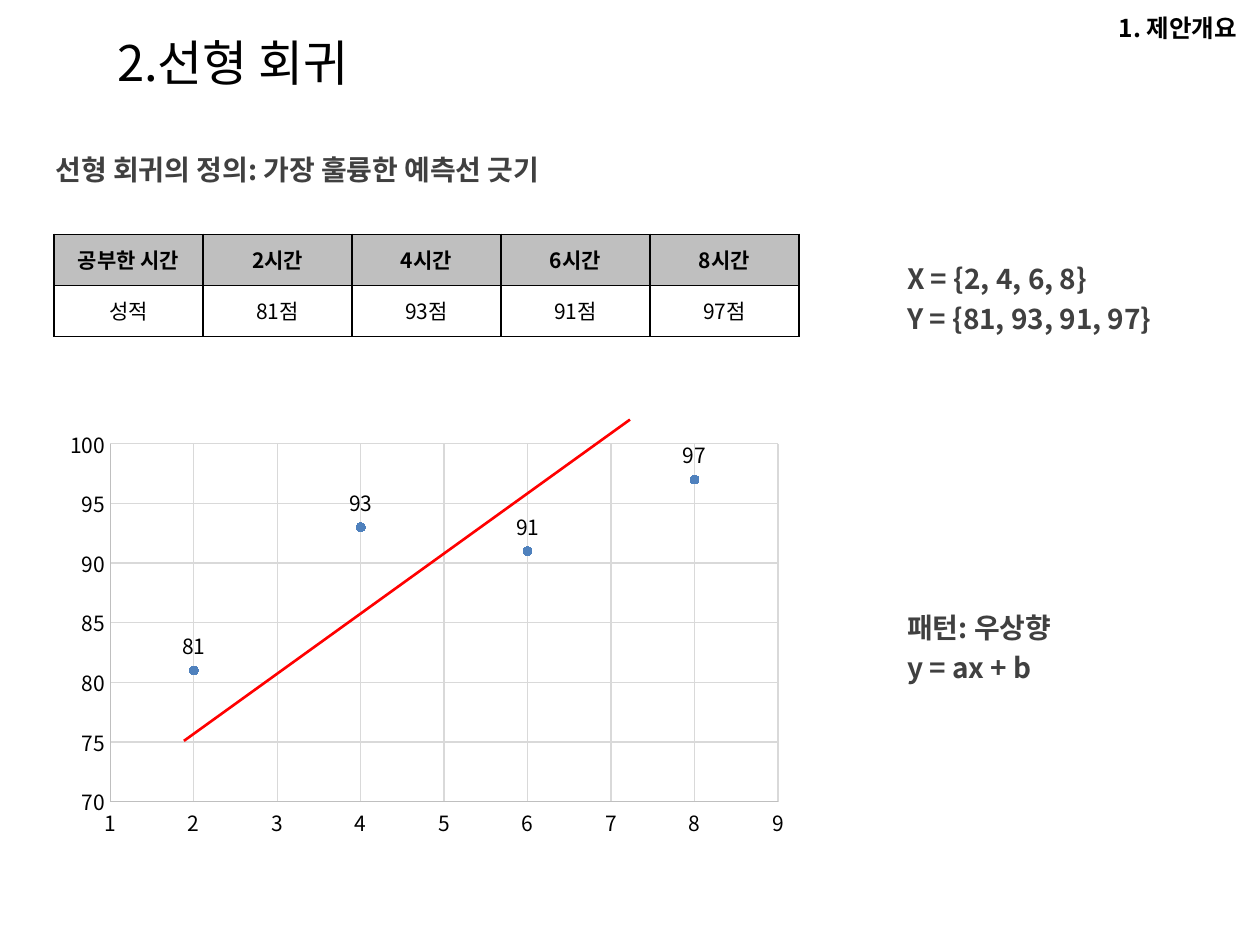
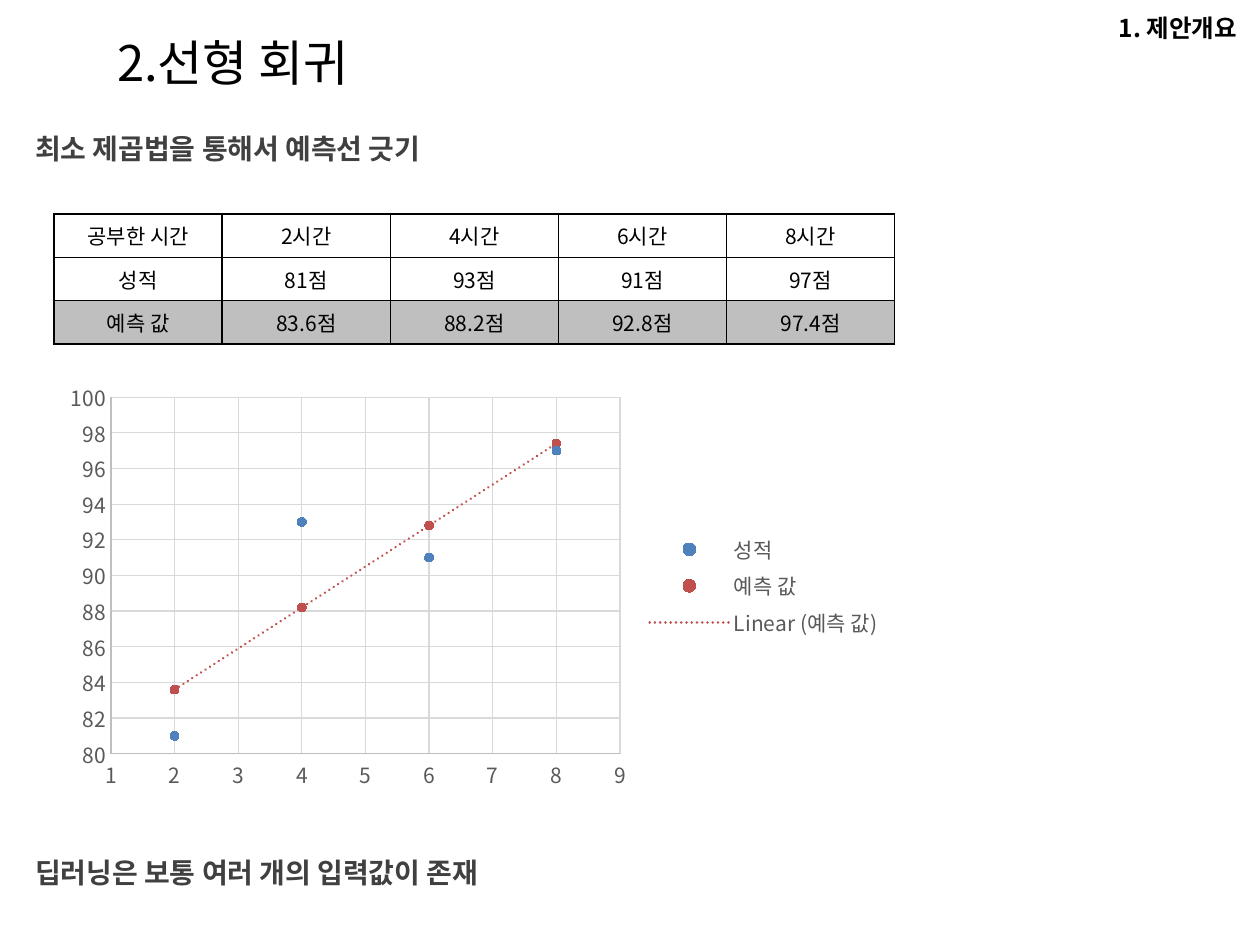
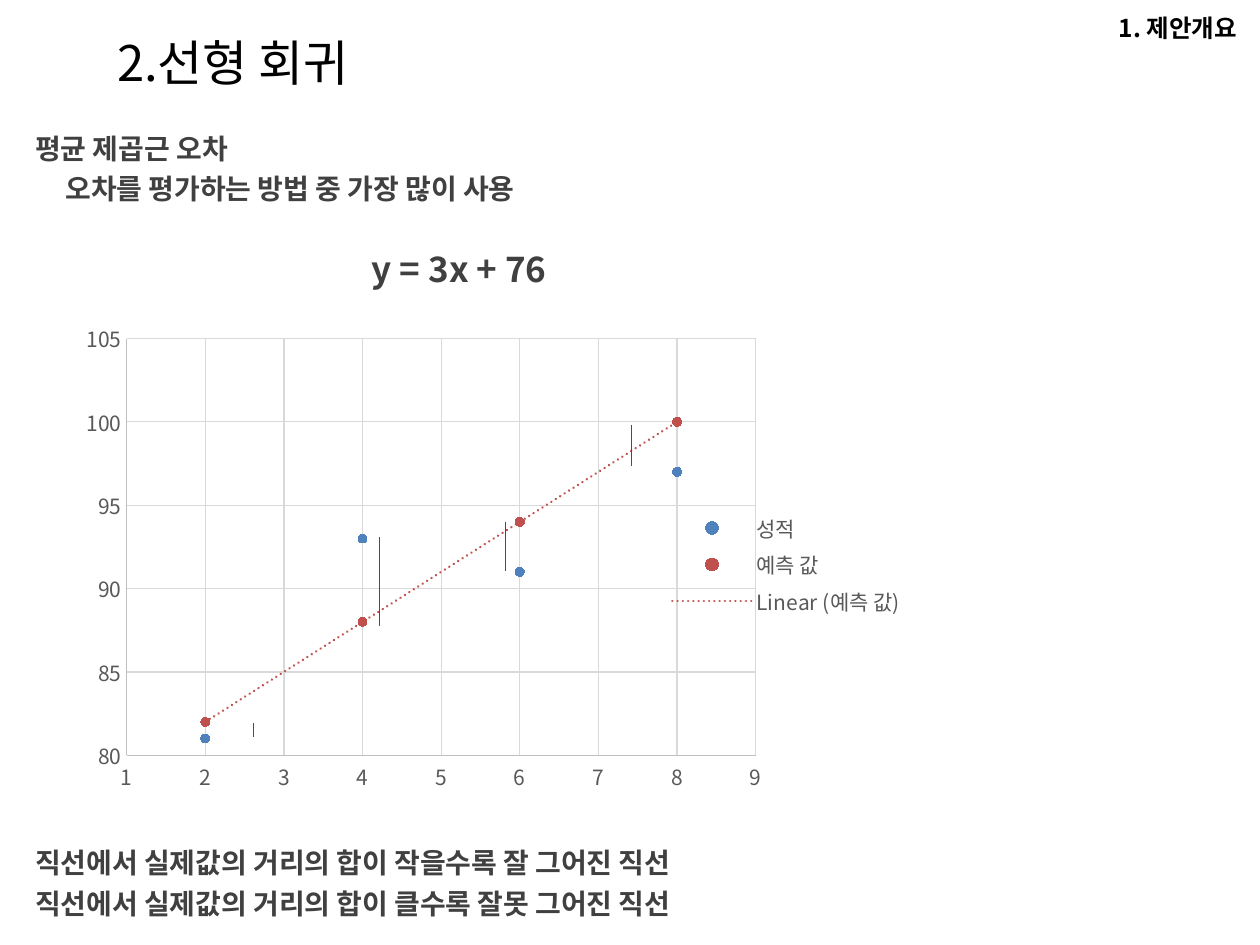
from lxml import etree
from pptx import Presentation
from pptx.chart.data import XyChartData
from pptx.chart.datalabel import DataLabels
from pptx.dml.color import RGBColor
from pptx.enum import chart as ch, shapes, text
from pptx.oxml import parse_xml
from pptx.oxml.ns import nsdecls, qn
from pptx.util import Inches, Pt

FONT = "Noto Sans CJK KR"
BLACK = RGBColor(0x00, 0x00, 0x00)
WHITE = RGBColor(0xFF, 0xFF, 0xFF)
INK = RGBColor(0x40, 0x40, 0x40)
CHART_INK = RGBColor(0x59, 0x59, 0x59)
AXIS = RGBColor(0xBF, 0xBF, 0xBF)
HIGHLIGHT = RGBColor(0xBF, 0xBF, 0xBF)
GRID = RGBColor(0xD9, 0xD9, 0xD9)
RED = RGBColor(0xFF, 0x00, 0x00)
SERIES_COLORS = (RGBColor(0x4F, 0x81, 0xBD), RGBColor(0xC0, 0x50, 0x4D))

HOURS = (2, 4, 6, 8)
SCORES = (81, 93, 91, 97)
LEAST_SQUARES = (83.6, 88.2, 92.8, 97.4)
TRIAL_LINE = (82, 88, 94, 100)
HOUR_ROW = ["공부한 시간"] + [f"{hours}시간" for hours in HOURS]
SCORE_ROW = ["성적"] + [f"{score}점" for score in SCORES]
PREDICTION_ROW = ["예측 값"] + [f"{score}점" for score in LEAST_SQUARES]


def inches(*lengths):
    return [Inches(length) for length in lengths]


def style_font(font, size, color, bold=False):
    font.name, font.size, font.bold = FONT, Pt(size), bold
    font.color.rgb = color


def add_run(paragraph, wording, size, color, bold=False):
    run = paragraph.add_run()
    run.text = wording
    style_font(run.font, size, color, bold)


def use_font_for_korean(root):
    """Repeat every Latin typeface as the East Asian one."""
    for latin in list(root.iter(qn("a:latin"))):
        east_asian = etree.Element(qn("a:ea"))
        east_asian.set("typeface", FONT)
        latin.addnext(east_asian)


def add_page(deck):
    slide = deck.slides.add_slide(deck.slide_layouts[5])
    section = slide.shapes.add_textbox(*inches(8.78, 0.05, 2.84, 0.32))
    section.text_frame.word_wrap = True
    add_run(section.text_frame.paragraphs[0], "1. 제안개요", 14, BLACK, True)

    title = slide.shapes.title
    title.left, title.top, title.width, title.height = inches(0.83, 0.21, 7.48, 0.57)
    frame = title.text_frame
    frame.auto_size = text.MSO_AUTO_SIZE.NONE
    frame.vertical_anchor = text.MSO_ANCHOR.TOP
    heading = frame.paragraphs[0]
    heading.alignment = text.PP_ALIGN.LEFT
    add_run(heading, "2.선형 회귀", 28, BLACK)
    return slide


def add_statement(slide, box, lines, size=16, indents=()):
    """Bold lines; indents holds the numbers of the lines set in."""
    frame = slide.shapes.add_textbox(*inches(*box)).text_frame
    frame.word_wrap = True
    frame.margin_left = frame.margin_right = frame.margin_top = frame.margin_bottom = 0
    for number, line in enumerate(lines):
        paragraph = frame.paragraphs[0] if number == 0 else frame.add_paragraph()
        paragraph.line_spacing = 1.2
        if number in indents:
            paragraph._p.get_or_add_pPr().set("marL", str(Inches(0.24)))
        add_run(paragraph, line, size, INK, True)


def border_cell(cell):
    properties = cell._tc.get_or_add_tcPr()
    for position, side in enumerate(("lnL", "lnR", "lnT", "lnB")):
        properties.insert(position, parse_xml(
            f'<a:{side} {nsdecls("a")} w="{Pt(1)}"><a:solidFill>'
            f'<a:srgbClr val="{BLACK}"/></a:solidFill></a:{side}>'))


def add_score_table(slide, box, rows, highlighted, bold=False):
    table = slide.shapes.add_table(len(rows), len(rows[0]), *inches(*box)).table
    table.first_row = table.horz_banding = False
    for r, row in enumerate(rows):
        for c, wording in enumerate(row):
            cell = table.cell(r, c)
            cell.fill.solid()
            cell.fill.fore_color.rgb = HIGHLIGHT if r == highlighted else WHITE
            cell.vertical_anchor = text.MSO_ANCHOR.MIDDLE
            border_cell(cell)
            paragraph = cell.text_frame.paragraphs[0]
            paragraph.alignment = text.PP_ALIGN.CENTER
            add_run(paragraph, wording, 12, BLACK, bold and r == highlighted)


def style_axis(axis, color):
    axis.major_tick_mark = axis.minor_tick_mark = ch.XL_TICK_MARK.NONE
    axis.has_major_gridlines = True
    for line, tint in ((axis.format.line, AXIS),
                       (axis.major_gridlines.format.line, GRID)):
        line.color.rgb, line.width = tint, Pt(0.75)
    style_font(axis.tick_labels.font, 12, color)


def add_scatter(slide, box, series_values, ink):
    data = XyChartData()
    for name, values in series_values.items():
        series = data.add_series(name)
        for point in zip(HOURS, values):
            series.add_data_point(*point)
    chart = slide.shapes.add_chart(
        ch.XL_CHART_TYPE.XY_SCATTER, *inches(*box), data).chart
    chart.has_title = chart.has_legend = False
    style_font(chart.font, 12, ink)
    for axis in (chart.category_axis, chart.value_axis):
        style_axis(axis, ink)
    chart.plots[0].vary_by_categories = False
    for series, color in zip(chart.plots[0].series, SERIES_COLORS):
        series.format.line.fill.background()
        marker = series.marker
        marker.style, marker.size = ch.XL_MARKER_STYLE.CIRCLE, 5
        marker.format.fill.solid()
        marker.format.fill.fore_color.rgb = color
        marker.format.line.color.rgb = color
    return chart


def label_values(series):
    labels = DataLabels(series._element.get_or_add_dLbls())
    labels.show_value = True
    labels.position = ch.XL_LABEL_POSITION.ABOVE
    style_font(labels.font, 12, BLACK)


def add_trend(series, color):
    series._element.find(qn("c:xVal")).addprevious(parse_xml(
        f'<c:trendline {nsdecls("c", "a")}><c:spPr><a:ln w="{Pt(1.5)}" cap="rnd">'
        f'<a:solidFill><a:srgbClr val="{color}"/></a:solidFill>'
        '<a:prstDash val="sysDot"/></a:ln></c:spPr><c:trendlineType val="linear"/>'
        '<c:dispRSqr val="0"/><c:dispEq val="0"/></c:trendline>'))


def add_prediction_chart(slide, box, predictions):
    chart = add_scatter(slide, box, {"성적": SCORES, "예측 값": predictions}, CHART_INK)
    chart.value_axis.minimum_scale = 80
    add_trend(chart.plots[0].series[1], SERIES_COLORS[1])
    chart.has_legend = True
    chart.legend.position = ch.XL_LEGEND_POSITION.RIGHT
    chart.legend.include_in_layout = False
    style_font(chart.legend.font, 12, CHART_INK)
    return chart


def place_plot(chart, x, y, w, h):
    """Set the inner plot area as fractions of the chart."""
    plot_area = chart._chartSpace.find(".//" + qn("c:plotArea"))
    for layout in plot_area.findall(qn("c:layout")):
        plot_area.remove(layout)
    plot_area.insert(0, parse_xml(
        f'<c:layout {nsdecls("c")}><c:manualLayout><c:layoutTarget val="inner"/>'
        '<c:xMode val="edge"/><c:yMode val="edge"/>'
        f'<c:x val="{x}"/><c:y val="{y}"/><c:w val="{w}"/><c:h val="{h}"/>'
        '</c:manualLayout></c:layout>'))


def add_red_line(slide, start, end, width):
    line = slide.shapes.add_connector(
        shapes.MSO_CONNECTOR.STRAIGHT, *inches(*start, *end))
    line.line.color.rgb, line.line.width = RED, Pt(width)
    etree.SubElement(line._element.spPr, qn("a:effectLst"))


def build_definition(deck):
    slide = add_page(deck)
    add_score_table(slide, (0.43, 1.86, 5.91, 0.81), [HOUR_ROW, SCORE_ROW], 0, True)
    chart = add_scatter(slide, (0.44, 3.33, 5.9, 3.39), {"Series 1": SCORES}, BLACK)
    label_values(chart.plots[0].series[0])
    add_statement(slide, (7.2, 2.02, 2.6, 0.65),
                  ["X = {2, 4, 6, 8}", "Y = {81, 93, 91, 97}"])
    add_statement(slide, (0.44, 1.16, 9.45, 0.3),
                  ["선형 회귀의 정의: 가장 훌륭한 예측선 긋기"])
    add_statement(slide, (7.2, 4.79, 2.28, 0.65), ["패턴: 우상향", "y = ax + b"])
    add_red_line(slide, (1.46, 5.88), (5, 3.33), 1.5)


def build_least_squares(deck):
    slide = add_page(deck)
    add_score_table(slide, (0.43, 1.7, 6.67, 1.03),
                    [HOUR_ROW, SCORE_ROW, PREDICTION_ROW], 2)
    add_prediction_chart(slide, (0.43, 2.96, 6.67, 3.38), LEAST_SQUARES)
    add_statement(slide, (0.28, 0.99, 9.45, 0.3), ["최소 제곱법을 통해서 예측선 긋기"])
    add_statement(slide, (0.28, 6.74, 9.45, 0.3),
                  ["딥러닝은 보통 여러 개의 입력값이 존재"])


def build_mean_square_error(deck):
    slide = add_page(deck)
    add_statement(slide, (0.28, 0.99, 9.45, 0.62),
                  ["평균 제곱근 오차", "오차를 평가하는 방법 중 가장 많이 사용"],
                  indents=(1,))
    chart = add_prediction_chart(slide, (0.43, 2.47, 6.85, 4.02), TRIAL_LINE)
    place_plot(chart, 0.084, 0.054, 0.729, 0.823)
    error_spans = ((5.74, 5.85), (4.26, 4.97), (4.14, 4.53), (3.37, 3.7))
    for x, (top, bottom) in enumerate(error_spans, start=2):
        add_red_line(slide, (x + 0.01, top), (x + 0.01, bottom), 0.75)
    add_statement(slide, (2.95, 1.9, 1.81, 0.4), ["y = 3x + 76"], size=20)
    add_statement(slide, (0.28, 6.66, 9.45, 0.62),
                  ["직선에서 실제값의 거리의 합이 작을수록 잘 그어진 직선",
                   "직선에서 실제값의 거리의 합이 클수록 잘못 그어진 직선"])


def main():
    deck = Presentation()
    deck.slide_width, deck.slide_height = inches(10, 7.5)
    build_definition(deck)
    build_least_squares(deck)
    build_mean_square_error(deck)
    for slide in deck.slides:
        use_font_for_korean(slide._element)
        for shape in slide.shapes:
            if shape.has_chart:
                use_font_for_korean(shape.chart._chartSpace)
    deck.save("out.pptx")


if __name__ == "__main__":
    main()
